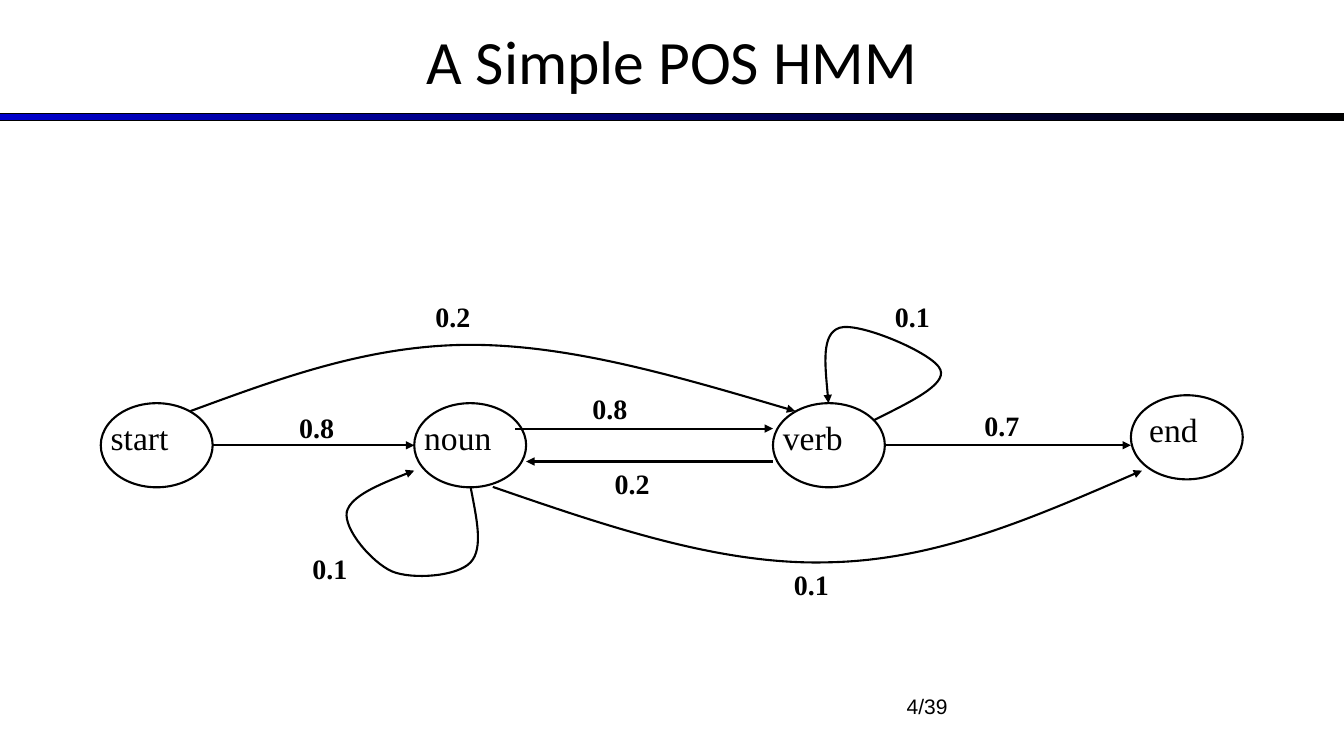
from dataclasses import dataclass

from lxml.etree import SubElement
from pptx import Presentation
from pptx.dml.color import RGBColor
from pptx.enum.shapes import MSO_CONNECTOR as Connector
from pptx.enum.shapes import MSO_SHAPE as Preset
from pptx.enum.text import MSO_ANCHOR as Anchor
from pptx.enum.text import PP_ALIGN as Align
from pptx.oxml.ns import qn
from pptx.util import Cm, Pt


@dataclass(frozen=True)
class Theme:
    ink: RGBColor = RGBColor(0x00, 0x00, 0x00)
    accent: RGBColor = RGBColor(0x00, 0x00, 0xCC)
    title_font: str = "Calibri"
    diagram_font: str = "Times New Roman"
    footer_font: str = "Arial"
    title_size: int = 44
    state_size: int = 24
    probability_size: int = 20
    footer_size: int = 15
    bar_line: float = 0.75
    diagram_line: float = 1.5


THEME = Theme()
SLIDE_WIDTH, SLIDE_HEIGHT = 33.87, 19.05
STATE_WIDTH, STATE_HEIGHT = 2.82, 2.12

# name, left, top, label indent, label width
STATES = [
    ("start", 2.54, 10.16, 0, 1.98),
    ("noun", 10.44, 10.16, 0, 2.24),
    ("verb", 19.48, 10.16, 0, 2.03),
    ("end", 28.5, 9.96, 0.21, 1.75),
]

# start and end of each straight transition
STRAIGHT_TRANSITIONS = [
    ((5.36, 11.22), (10.44, 11.22)),
    ((12.98, 10.8), (19.48, 10.8)),
    ((19.48, 11.63), (13.26, 11.63)),
    ((22.3, 11.22), (28.5, 11.22)),
]

# start point, then two control points and an end point per Bézier segment
CURVED_TRANSITIONS = [
    [(4.8, 10.36),
     (7.06, 9.53), (9.32, 8.69), (11.86, 8.69),
     (14.4, 8.69), (17.22, 9.53), (20.04, 10.36)],
    [(12.42, 12.27),
     (15.29, 13.26), (18.16, 14.25), (20.88, 14.17),
     (23.62, 14.12), (26.19, 12.98), (28.78, 11.86)],
    [(22.02, 10.59),
     (22.94, 10.13), (23.85, 9.7), (23.7, 9.32),
     (23.57, 8.92), (21.64, 8.1), (21.16, 8.26),
     (20.7, 8.41), (20.8, 9.27), (20.88, 10.16)],
    [(11.86, 12.27),
     (12.01, 13.06), (12.19, 13.82), (11.86, 14.17),
     (11.53, 14.53), (10.39, 14.61), (9.88, 14.4),
     (9.37, 14.17), (8.66, 13.34), (8.74, 12.9),
     (8.84, 12.5), (9.65, 12.17), (10.44, 11.86)],
]

# text, left, top
PROBABILITIES = [
    ("0.8", 7.29, 10.21),
    ("0.2", 10.72, 7.42),
    ("0.8", 14.68, 9.73),
    ("0.7", 24.56, 10.16),
    ("0.1", 22.3, 7.42),
    ("0.2", 15.24, 11.63),
    ("0.1", 7.62, 13.77),
    ("0.1", 19.76, 14.17),
]


def add_run(paragraph, text, font_name, size, bold=False):
    run = paragraph.add_run()
    run.text = text
    run.font.name = font_name
    run.font.size = Pt(size)
    run.font.bold = bold
    run.font.color.rgb = THEME.ink


def add_text(slide, text, box, font_name, size, bold=False, align=Align.LEFT):
    text_box = slide.shapes.add_textbox(*map(Cm, box))
    text_box.text_frame.word_wrap = False
    paragraph = text_box.text_frame.paragraphs[0]
    paragraph.alignment = align
    add_run(paragraph, text, font_name, size, bold)


def set_title(slide, text):
    title = slide.shapes.title
    title.left, title.top = Cm(0), Cm(-0.08)
    title.width, title.height = Cm(SLIDE_WIDTH), Cm(3.18)
    title.text_frame.vertical_anchor = Anchor.MIDDLE
    paragraph = title.text_frame.paragraphs[0]
    paragraph.alignment = Align.CENTER
    add_run(paragraph, text, THEME.title_font, THEME.title_size)


def set_line(shape, width):
    shape.line.color.rgb = THEME.ink
    shape.line.width = Pt(width)


def add_title_bar(slide):
    bar = slide.shapes.add_shape(
        Preset.RECTANGLE, Cm(0), Cm(2.86), Cm(SLIDE_WIDTH), Cm(0.18))
    bar.shadow.inherit = False
    bar.fill.gradient()
    bar.fill.gradient_angle = 0
    for stop, color in zip(bar.fill.gradient_stops, (THEME.accent, THEME.ink)):
        stop.color.rgb = color
    set_line(bar, THEME.bar_line)


def add_state(slide, name, left, top, indent, label_width):
    ellipse = slide.shapes.add_shape(
        Preset.OVAL, Cm(left), Cm(top), Cm(STATE_WIDTH), Cm(STATE_HEIGHT))
    ellipse.shadow.inherit = False
    ellipse.fill.background()
    set_line(ellipse, THEME.diagram_line)
    add_text(slide, name, (left + indent, top + 0.21, label_width, 1.3),
             THEME.diagram_font, THEME.state_size)


def style_arrow(arrow):
    set_line(arrow, THEME.diagram_line)
    SubElement(arrow.line._get_or_add_ln(), qn("a:tailEnd"), type="triangle")


def add_straight_arrow(slide, start, end):
    arrow = slide.shapes.add_connector(
        Connector.STRAIGHT, *map(Cm, start + end))
    style_arrow(arrow)
    SubElement(arrow._element.spPr, qn("a:effectLst"))


def add_curved_arrow(slide, points):
    """Draw the points as a polyline, then turn each three legs into a Bézier."""
    start, *rest = [(Cm(x), Cm(y)) for x, y in points]
    builder = slide.shapes.build_freeform(*start)
    builder.add_line_segments(rest, close=False)
    arrow = builder.convert_to_shape()
    path = next(arrow._element.iter(qn("a:path")))
    legs = path.findall(qn("a:lnTo"))
    for first in range(0, len(legs), 3):
        curve = SubElement(path, qn("a:cubicBezTo"))
        for leg in legs[first:first + 3]:
            curve.append(leg[0])
            path.remove(leg)
    arrow.shadow.inherit = False
    arrow.fill.background()
    style_arrow(arrow)


def main():
    presentation = Presentation()
    presentation.slide_width = Cm(SLIDE_WIDTH)
    presentation.slide_height = Cm(SLIDE_HEIGHT)
    slide = presentation.slides.add_slide(presentation.slide_layouts[5])

    add_title_bar(slide)
    set_title(slide, "A Simple POS HMM")
    for state in STATES:
        add_state(slide, *state)
    for start, end in STRAIGHT_TRANSITIONS:
        add_straight_arrow(slide, start, end)
    for points in CURVED_TRANSITIONS:
        add_curved_arrow(slide, points)
    for text, left, top in PROBABILITIES:
        add_text(slide, text, (left, top, 1.4, 1.12),
                 THEME.diagram_font, THEME.probability_size, bold=True)
    add_text(slide, "4/39", (18.21, 17.35, 5.92, 1.32),
             THEME.footer_font, THEME.footer_size, align=Align.RIGHT)

    presentation.save("out.pptx")


if __name__ == "__main__":
    main()
